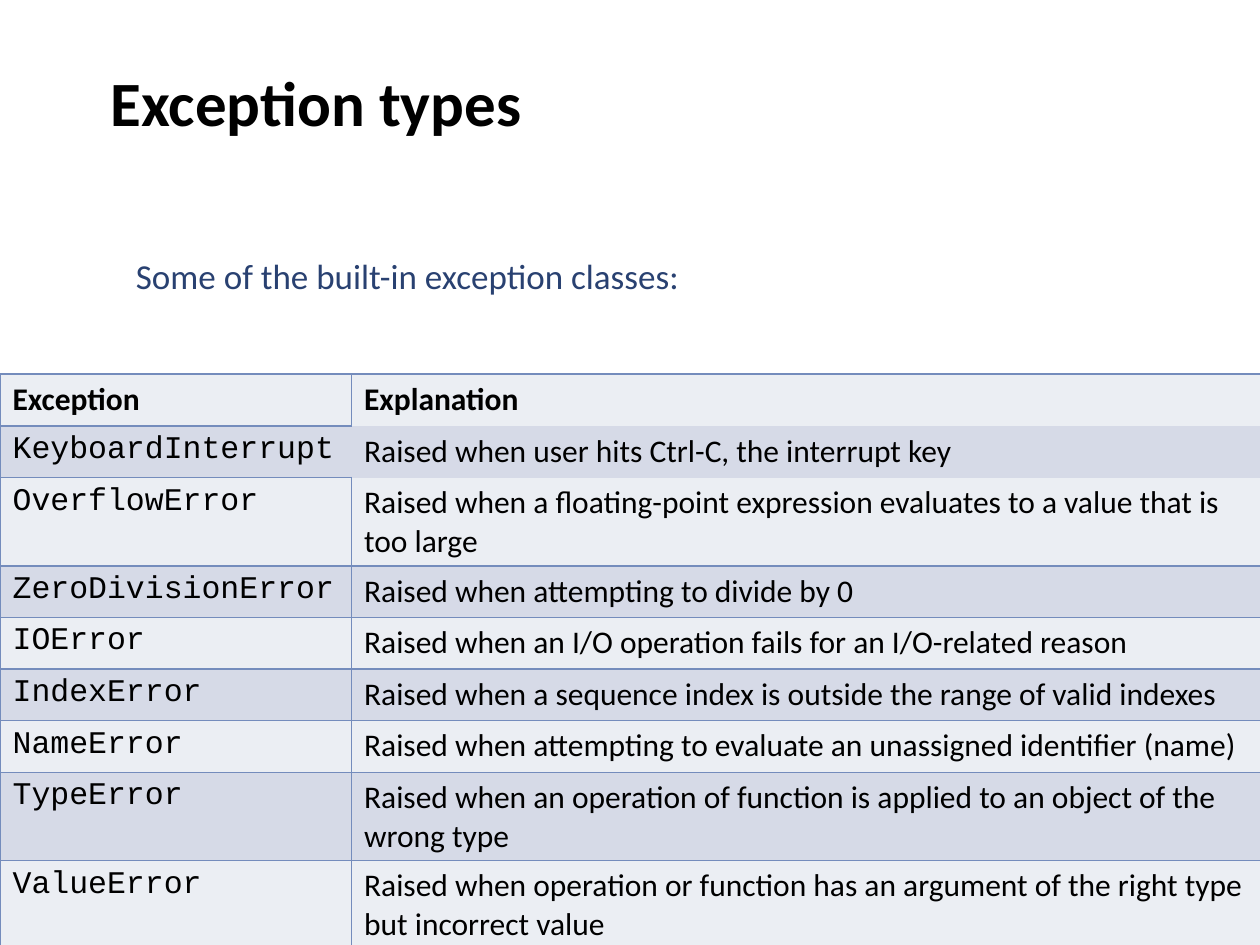
from pptx import Presentation
from pptx.util import Inches, Pt
from pptx.dml.color import RGBColor as RGB
from pptx.enum.text import MSO_ANCHOR as Anchor, MSO_AUTO_SIZE as Fit
from pptx.oxml.ns import qn
from lxml.etree import Element, SubElement as Sub

COLORS = {
    "text": "000000",
    "lead": "294171",
    "line": "748CBC",
    "light": "EBEEF3",
    "dark": "D6DAE7",
}
SANS, MONO = "Calibri", "Courier New"

ROWS = [
    ("Exception", "Explanation"),
    ("KeyboardInterrupt", "Raised when user hits Ctrl-C, the interrupt key"),
    ("OverflowError", "Raised when a floating-point expression evaluates "
                      "to a value that is too large"),
    ("ZeroDivisionError", "Raised when attempting to divide by 0"),
    ("IOError", "Raised when an I/O operation fails for an I/O-related reason"),
    ("IndexError", "Raised when a sequence index is outside the range of "
                   "valid indexes"),
    ("NameError", "Raised when attempting to evaluate an unassigned "
                  "identifier (name)"),
    ("TypeError", "Raised when an operation of function is applied to an "
                  "object of the wrong type"),
    ("ValueError", "Raised when operation or function has an argument of the "
                   "right type but incorrect value"),
]
# Cells that lack some borders; every other cell has all four
SIDES = {(0, 1): "LRT", (1, 0): "LTB", (1, 1): "", (2, 1): "LRB"}


def write(frame, text, font=SANS, size=18, color="text", bold=False):
    run = frame.paragraphs[0].add_run()
    run.text = text
    run.font.name = font
    run.font.size = Pt(size)
    run.font.bold = bold
    run.font.color.rgb = RGB.from_string(COLORS[color])


def add_text(slide, box, text, wrap=True, fit=Fit.NONE, **form):
    frame = slide.shapes.add_textbox(*map(Inches, box)).text_frame
    frame.word_wrap = wrap
    frame.auto_size = fit
    frame.vertical_anchor = Anchor.MIDDLE
    write(frame, text, **form)


def set_edges(cell, sides):
    props = cell._tc.get_or_add_tcPr()
    for spot, side in enumerate("LRTB"):
        line = Element(qn("a:ln" + side), w=str(Pt(1)))
        if side in sides:
            fill = Sub(line, qn("a:solidFill"))
            Sub(fill, qn("a:srgbClr"), val=COLORS["line"])
        else:
            Sub(line, qn("a:noFill"))
        props.insert(spot, line)


def add_grid(slide, left, top, widths, height, rows):
    table = slide.shapes.add_table(
        len(rows), len(widths), Inches(left), Inches(top),
        Inches(sum(widths)), Inches(height * len(rows))).table
    for col, width in zip(table.columns, widths):
        col.width = Inches(width)
    for r, row in enumerate(rows):
        table.rows[r].height = Inches(height)
        for c, text in enumerate(row):
            cell = table.cell(r, c)
            cell.fill.solid()
            shade = COLORS["dark" if r % 2 else "light"]
            cell.fill.fore_color.rgb = RGB.from_string(shade)
            set_edges(cell, SIDES.get((r, c), "LRTB"))
            font = MONO if r and c == 0 else SANS
            write(cell.text_frame, text, font=font, bold=r == 0)


def main():
    deck = Presentation()
    deck.slide_width, deck.slide_height = Inches(10), Inches(7.5)
    slide = deck.slides.add_slide(deck.slide_layouts[6])

    # Title and lead-in
    add_text(slide, (0.78, 0, 8.5, 1.61), "Exception types",
             size=36, bold=True)
    add_text(slide, (0.98, 1.97, 4.55, 0.44),
             "Some of the built-in exception classes:",
             wrap=False, fit=Fit.SHAPE_TO_FIT_TEXT, size=20, color="lead")

    # Table of exceptions
    add_grid(slide, 0, 2.97, (2.79, 7.22), 0.41, ROWS)

    deck.save("out.pptx")


main()
